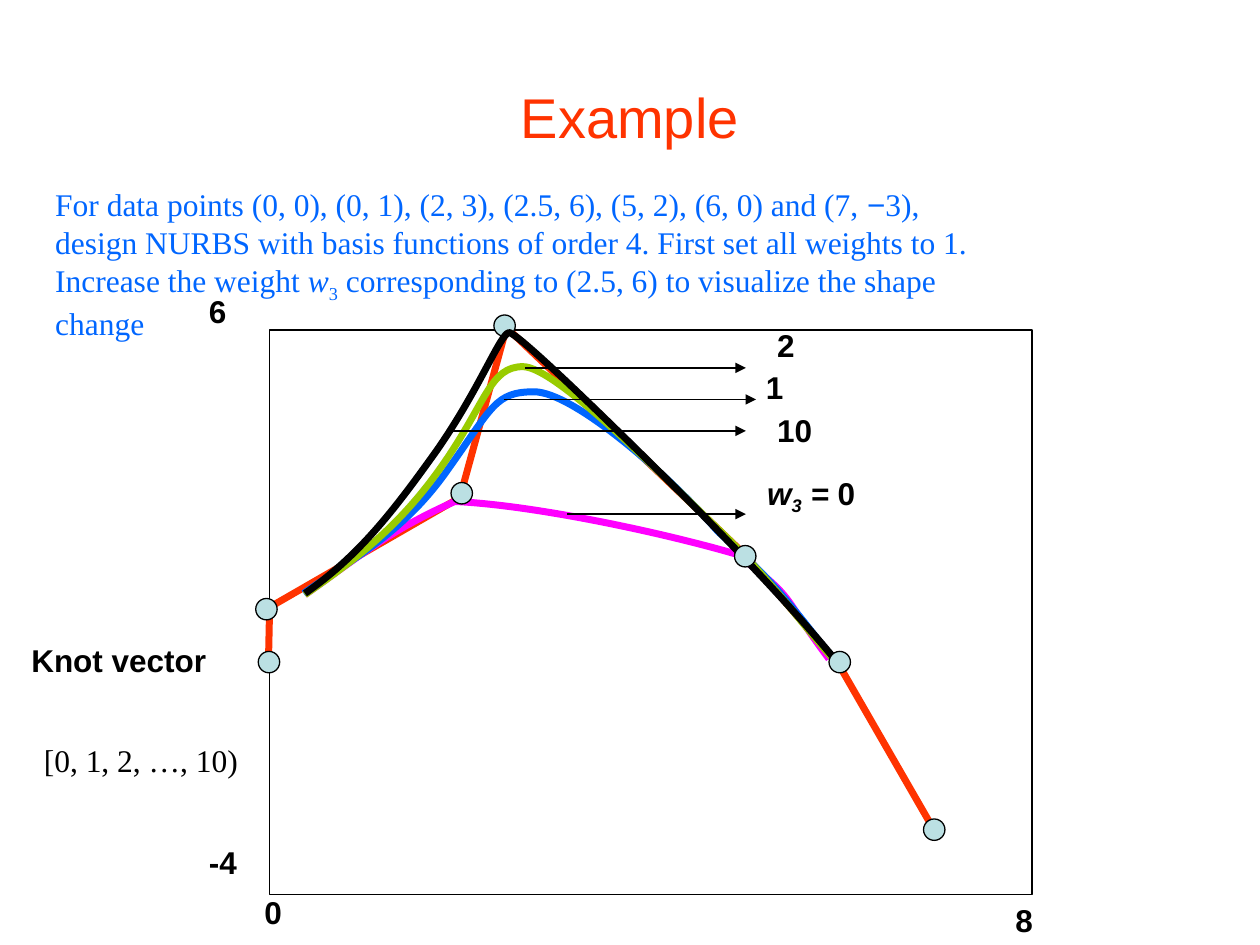
from dataclasses import dataclass

from lxml.etree import SubElement
from pptx import Presentation
from pptx.dml.color import RGBColor
from pptx.enum.shapes import MSO_CONNECTOR, MSO_SHAPE
from pptx.enum.text import MSO_ANCHOR, MSO_AUTO_SIZE, PP_ALIGN
from pptx.oxml.ns import qn
from pptx.util import Inches, Pt


@dataclass(frozen=True)
class Theme:
    sans: str = "Arial"
    serif: str = "Times New Roman"
    title_size: int = 32
    body_size: int = 18
    thin: float = 0.75
    thick: float = 4
    black: str = "000000"
    red: str = "FF3300"
    blue: str = "0066FF"
    magenta: str = "FF00FF"
    green: str = "99CC00"
    marker: str = "BBE0E3"


THEME = Theme()
MARKER_SIZE = 0.17

PROBLEM = [
    [("For data points (0, 0), (0, 1), (2, 3), (2.5, 6), (5, 2), (6, 0) and (7, ", {}),
     ("−", {"font": THEME.sans}), ("3),", {})],
    [("design NURBS with basis functions of order 4. First set all weights to 1.", {})],
    [("Increase the weight ", {}), ("w", {"italic": True}), ("3", {"sub": True}),
     (" corresponding to (2.5, 6) to visualize the shape change", {})],
]
ZERO_WEIGHT = [[("w", {"italic": True}), ("3", {"italic": True, "sub": True}),
                (" = ", {"italic": True}), ("0", {})]]

AXIS_LABELS = [("0", 2, 7.04, 0.34), ("8", 7.96, 7.1, 0.34),
               ("-4", 1.56, 6.64, 0.42), ("6", 1.56, 2.27, 0.34)]
CONTROL_POLYGON = [(2.13, 5.29), (2.14, 4.82), (3.65, 3.95), (4.02, 2.6),
                   (5.91, 4.4), (6.66, 5.28), (7.42, 6.6)]
MARKERS_BEHIND = [(2.05, 5.17), (2.03, 4.75), (3.92, 2.5), (7.33, 6.5)]
MARKERS_IN_FRONT = [(3.58, 3.83), (5.83, 4.33), (6.58, 5.17)]
WEIGHT_CURVES = [
    (THEME.magenta, [(2.42, 4.72), (2.85, 4.42), (3.07, 4.22), (3.61, 3.98),
                     (4.25, 4.01), (5.27, 4.23), (5.85, 4.4),
                     (6.34, 4.78), (6.17, 4.68), (6.58, 5.23)]),
    (THEME.blue, [(2.41, 4.71), (2.84, 4.41), (3.22, 4.21), (3.56, 3.72),
                  (3.91, 3.23), (3.93, 3.11), (4.24, 3.11),
                  (4.55, 3.11), (5.31, 3.77), (5.7, 4.22),
                  (6.1, 4.58), (6.21, 4.71), (6.65, 5.28)]),
    (THEME.green, [(2.42, 4.72), (2.85, 4.42), (3.18, 4.17), (3.52, 3.68),
                   (3.86, 3.19), (3.89, 2.91), (4.15, 2.91),
                   (4.41, 2.91), (5.25, 3.77), (5.7, 4.2),
                   (6.11, 4.59), (6.4, 5), (6.64, 5.26)]),
    (THEME.black, [(2.42, 4.71), (2.85, 4.41), (3.12, 4.06), (3.47, 3.57),
                   (3.81, 3.08), (3.97, 2.65), (4.04, 2.64),
                   (4.11, 2.63), (5.1, 3.61), (5.56, 4.07),
                   (5.99, 4.51), (6.38, 4.93), (6.64, 5.25)]),
]
WEIGHT_CALLOUTS = [
    (4.5, 5.92, 4.08, ZERO_WEIGHT, (5.99, 3.71, 0.9, 0.44)),
    (3.58, 5.92, 3.42, "10", (6.07, 3.21, 0.48, 0.4)),
    (4, 6, 3.17, "1", (5.98, 2.87, 0.34, 0.4)),
    (4.17, 5.92, 2.92, "2", (6.07, 2.54, 0.34, 0.4)),
]


def set_line(line, color, width):
    line.color.rgb = RGBColor.from_string(color)
    line.width = Pt(width)


def add_text(shapes, content, box, font=THEME.sans, size=THEME.body_size,
             color=THEME.black, bold=False):
    label = shapes.add_textbox(*map(Inches, box))
    frame = label.text_frame
    frame.word_wrap = False
    frame.auto_size = MSO_AUTO_SIZE.SHAPE_TO_FIT_TEXT
    lines = [[(content, {})]] if isinstance(content, str) else content
    for index, pieces in enumerate(lines):
        paragraph = frame.add_paragraph() if index else frame.paragraphs[0]
        for wording, style in pieces:
            run = paragraph.add_run()
            run.text = wording
            run.font.name = style.get("font", font)
            run.font.size = Pt(size)
            run.font.bold = bold
            run.font.italic = style.get("italic", False)
            run.font.color.rgb = RGBColor.from_string(color)
            if style.get("sub"):
                run.font._element.set("baseline", "-25000")
    return frame


def add_title(shapes, wording):
    frame = add_text(shapes, wording, (0.5, 0.3, 9, 1.25),
                     size=THEME.title_size, color=THEME.red)
    frame.auto_size = MSO_AUTO_SIZE.NONE
    frame.word_wrap = True
    frame.vertical_anchor = MSO_ANCHOR.MIDDLE
    frame.paragraphs[0].alignment = PP_ALIGN.CENTER


def add_plot_frame(shapes):
    plot = shapes.add_group_shape().shapes
    border = plot.add_shape(MSO_SHAPE.RECTANGLE, *map(Inches, (2.14, 2.62, 6.05, 4.48)))
    border.shadow.inherit = False
    border.fill.background()
    set_line(border.line, THEME.black, THEME.thin)
    for wording, left, top, width in AXIS_LABELS:
        add_text(plot, wording, (left, top, width, 0.4), bold=True)


def add_polyline(shapes, points, color):
    start, *rest = [(Inches(x), Inches(y)) for x, y in points]
    builder = shapes.build_freeform(*start)
    builder.add_line_segments(rest, close=False)
    outline = builder.convert_to_shape()
    outline.shadow.inherit = False
    outline.fill.background()
    set_line(outline.line, color, THEME.thick)
    return outline


def add_curve(shapes, points, color):
    outline = add_polyline(shapes, points, color)
    segments = list(outline._element.iter(qn("a:lnTo")))
    for first in range(0, len(segments), 3):
        bezier = SubElement(segments[first].getparent(), qn("a:cubicBezTo"))
        for segment in segments[first:first + 3]:
            bezier.append(segment[0])
            segment.getparent().remove(segment)


def add_markers(shapes, corners):
    for left, top in corners:
        marker = shapes.add_shape(MSO_SHAPE.OVAL, Inches(left), Inches(top),
                                  Inches(MARKER_SIZE), Inches(MARKER_SIZE))
        marker.shadow.inherit = False
        marker.fill.solid()
        marker.fill.fore_color.rgb = RGBColor.from_string(THEME.marker)
        set_line(marker.line, THEME.black, THEME.thin)


def add_arrow(shapes, start, end, y):
    arrow = shapes.add_connector(MSO_CONNECTOR.STRAIGHT, Inches(start), Inches(y),
                                 Inches(end), Inches(y))
    set_line(arrow.line, THEME.black, THEME.thin)
    SubElement(arrow.line._get_or_add_ln(), qn("a:tailEnd"), type="triangle")
    SubElement(arrow._element.spPr, qn("a:effectLst"))


def main():
    deck = Presentation()
    deck.slide_width, deck.slide_height = Inches(10), Inches(7.5)
    shapes = deck.slides.add_slide(deck.slide_layouts[6]).shapes

    add_title(shapes, "Example")
    add_text(shapes, PROBLEM, (0.34, 1.42, 7.96, 1.04), THEME.serif, color=THEME.blue)
    add_plot_frame(shapes)
    add_polyline(shapes, CONTROL_POLYGON, THEME.red)
    add_markers(shapes, MARKERS_BEHIND)
    for color, points in WEIGHT_CURVES:
        add_curve(shapes, points, color)
    add_markers(shapes, MARKERS_IN_FRONT)
    for start, end, y, weight, box in WEIGHT_CALLOUTS:
        add_arrow(shapes, start, end, y)
        add_text(shapes, weight, box, bold=True)
    add_text(shapes, "[0, 1, 2, …, 10)", (0.25, 5.83, 1.8, 0.4), THEME.serif)
    add_text(shapes, "Knot vector", (0.15, 5.04, 1.59, 0.4), bold=True)

    deck.save("out.pptx")


if __name__ == "__main__":
    main()
